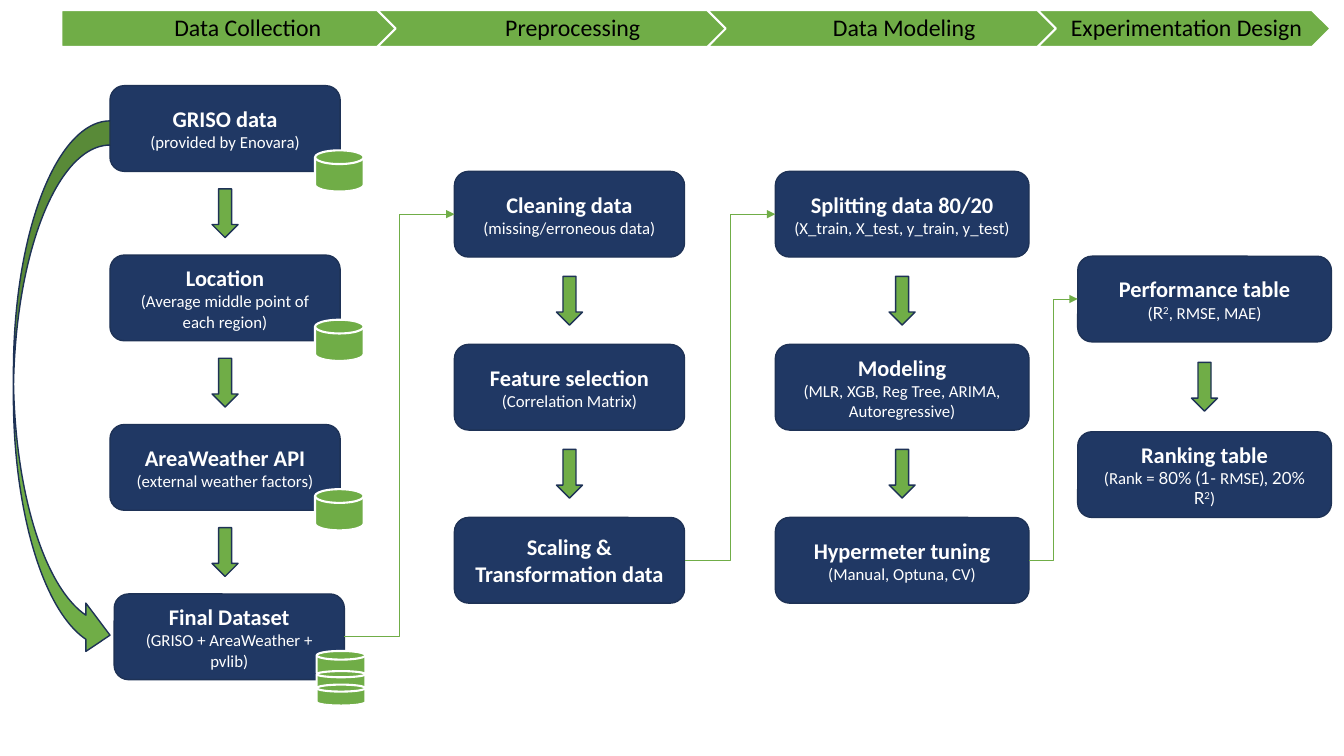
from lxml import etree
from pptx import Presentation
from pptx.dml.color import RGBColor
from pptx.enum.shapes import MSO_CONNECTOR, MSO_SHAPE
from pptx.enum.text import MSO_ANCHOR, PP_ALIGN
from pptx.oxml.ns import qn
from pptx.util import Inches, Pt

BOX, DISK, DOWN = MSO_SHAPE.ROUNDED_RECTANGLE, MSO_SHAPE.FLOWCHART_MAGNETIC_DISK, MSO_SHAPE.DOWN_ARROW
CURVE, PLATE, CHEVRON = MSO_SHAPE.CURVED_RIGHT_ARROW, MSO_SHAPE.PENTAGON, MSO_SHAPE.CHEVRON
ELBOW, MIDDLE, CENTER = MSO_CONNECTOR.ELBOW, MSO_ANCHOR.MIDDLE, PP_ALIGN.CENTER
LEFT_SITE, RIGHT_SITE = 1, 3

NAVY = RGBColor(0x20, 0x38, 0x64)
EDGE = RGBColor(0x1E, 0x32, 0x56)
GREEN = RGBColor(0x70, 0xAD, 0x47)
WHITE = RGBColor(0xFF, 0xFF, 0xFF)
BLACK = RGBColor(0x00, 0x00, 0x00)

CALIBRI, LATO = "Calibri", "Lato"
COLS, ROWS = 160, 90
BOX_H = 10.2
DISK_W = 5.8


class Board:
    def __init__(self, prs):
        self.slide = prs.slides.add_slide(prs.slide_layouts[6])
        self.col = prs.slide_width / COLS
        self.row = prs.slide_height / ROWS

    def shape(self, kind, x, y, w, h, fill=GREEN, line=EDGE, weight=1):
        sp = self.slide.shapes.add_shape(
            kind, round(x * self.col), round(y * self.row), round(w * self.col), round(h * self.row))
        sp.shadow.inherit = False
        sp.fill.solid()
        sp.fill.fore_color.rgb = fill
        sp.line.color.rgb = line
        sp.line.width = Pt(weight)
        return sp

    def format(self, p, size, color, bold=False):
        p.alignment = CENTER
        for r in p.runs:
            r.font.size = Pt(size)
            r.font.bold = bold
            r.font.color.rgb = color
            r.font.name = r.font.name or CALIBRI

    def box(self, x, y, w, title, detail):
        sp = self.shape(BOX, x, y, w, BOX_H, NAVY)
        tf = sp.text_frame
        tf.word_wrap = True
        tf.vertical_anchor = MIDDLE
        tf.text = title
        self.format(tf.paragraphs[0], 16, WHITE, True)
        if detail:
            p = tf.add_paragraph()
            for text, font, raised in detail:
                r = p.add_run()
                r.text = text
                r.font.name = font
                if raised:
                    r._r.get_or_add_rPr().set("baseline", "30000")
            self.format(p, 12, WHITE)
        return sp

    def disk(self, x, y, h):
        self.shape(DISK, x, y, DISK_W, h, line=WHITE, weight=1.5)

    def down_arrow(self, x, y):
        w, h = 3.1, 5.8
        self.shape(DOWN, x - w / 2, y - h / 2, w, h)

    def stage(self, kind, x, w, title):
        sp = self.shape(kind, x, 1.2, w, 4.4, line=WHITE, weight=1.5)
        tf = sp.text_frame
        tf.word_wrap = True
        tf.vertical_anchor = MIDDLE
        tf.margin_left, tf.margin_right = Inches(0.07), Inches(0.02)
        tf.text = title
        p = tf.paragraphs[0]
        p.line_spacing = 0.9
        self.format(p, 17, BLACK)

    def link(self, start, end):
        c = self.slide.shapes.add_connector(ELBOW, 0, 0, 0, 0)
        c.begin_connect(start, RIGHT_SITE)
        c.end_connect(end, LEFT_SITE)
        c.line.color.rgb = GREEN
        c.line.width = Pt(0.5)
        etree.SubElement(c.line._get_or_add_ln(), qn("a:tailEnd")).set("type", "triangle")
        etree.SubElement(c._element.spPr, qn("a:effectLst"))

    def column(self, x, y, w, step, steps, shift=0):
        boxes = []
        for i, (title, detail) in enumerate(steps):
            top = y + i * step
            last = i == len(steps) - 1
            boxes.append(self.box(x + shift * last, top, w, title, detail))
            if not last:
                self.down_arrow(x + w / 2, top + (BOX_H + step) / 2)
        return boxes


def plain(text):
    return [(text, CALIBRI, False)]


STAGES = [
    (PLATE, 7.3, 44.9, "Data Collection"),
    (CHEVRON, 44.9, 46, "Preprocessing"),
    (CHEVRON, 84.2, 46.3, "Data Modeling"),
    (CHEVRON, 123.5, 34.9, "Experimentation Design"),
]
COLLECTION = [
    ("GRISO data", plain("(provided by Enovara)")),
    ("Location", plain("(Average middle point of each region)")),
    ("AreaWeather API", plain("(external weather factors)")),
    ("Final Dataset", plain("(GRISO + AreaWeather + pvlib)")),
]
PREPROCESSING = [
    ("Cleaning data", plain("(missing/erroneous data)")),
    ("Feature selection", plain("(Correlation Matrix)")),
    ("Scaling & Transformation data", None),
]
MODELING = [
    ("Splitting data 80/20", plain("(X_train, X_test, y_train, y_test)")),
    ("Modeling", plain("(MLR, XGB, Reg Tree, ARIMA, Autoregressive)")),
    ("Hypermeter tuning", plain("(Manual, Optuna, CV)")),
]
EXPERIMENTS = [
    ("Performance table", [("(", CALIBRI, False), ("R", LATO, False), ("2", LATO, True),
                           (", RMSE, MAE)", CALIBRI, False)]),
    ("Ranking table", [("(Rank = ", CALIBRI, False), ("80% (1-", LATO, False),
                       (" RMSE", CALIBRI, False), ("), 20% R", LATO, False),
                       ("2", LATO, True), (")", CALIBRI, False)]),
]
SOURCE_X, SOURCE_Y, SOURCE_STEP = 13.1, 10.2, 20.17

prs = Presentation()
prs.slide_width, prs.slide_height = Inches(13.33), Inches(7.5)
s = Board(prs)

for stage in STAGES:
    s.stage(*stage)

columns = [
    s.column(SOURCE_X, SOURCE_Y, 27.4, SOURCE_STEP, COLLECTION, shift=0.5),
    s.column(54.1, 20.4, 27.4, 20.6, PREPROCESSING),
    s.column(92.3, 20.4, 30.2, 20.6, MODELING),
    s.column(128.3, 30.5, 30.2, 20.9, EXPERIMENTS),
]
for before, after in zip(columns, columns[1:]):
    s.link(before[-1], after[0])

for i in range(len(COLLECTION) - 1):
    s.disk(SOURCE_X + 24.4, SOURCE_Y + i * SOURCE_STEP + 7.7, 4.9)
for y, h in [(77.5, 3.1), (79.9, 2.2), (81.5, 2.5)]:
    s.disk(37.7, y, h)
s.shape(CURVE, 1.6, 14.4, 11.5, 64.1)

prs.save("out.pptx")
